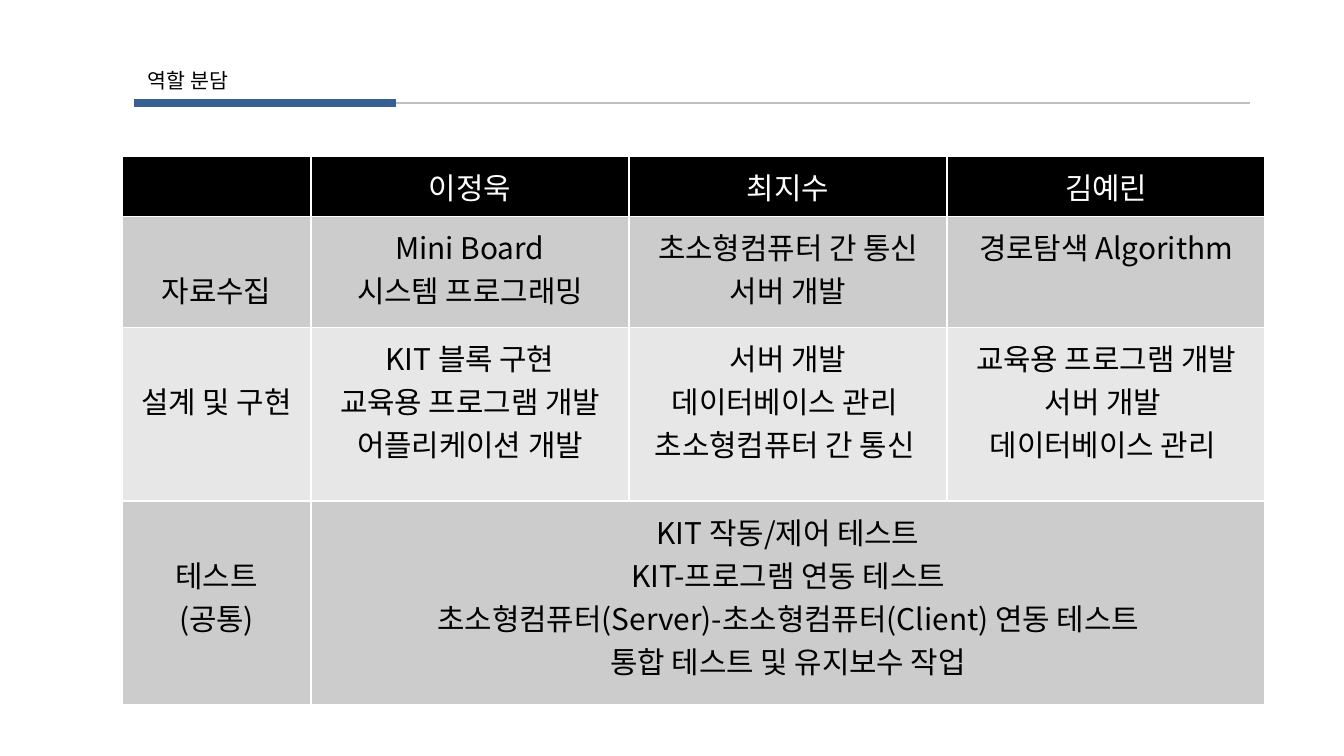
from lxml import etree
from pptx import Presentation
from pptx.dml.color import RGBColor
from pptx.enum.shapes import MSO_CONNECTOR as Conn
from pptx.enum.text import MSO_AUTO_SIZE as Fit, PP_ALIGN as Align
from pptx.oxml import parse_xml
from pptx.oxml.ns import nsdecls, qn
from pptx.util import Pt

FONT = "Noto Sans CJK KR"


def color(code):
    return RGBColor.from_string(code)


def style(frame, size, code):
    """Format every run, for Latin and Korean letters alike."""
    for par in frame.paragraphs:
        for run in par.runs:
            font = run.font
            font.name, font.size, font.bold = FONT, Pt(size), False
            font.color.rgb = color(code)
            etree.SubElement(run._r.get_or_add_rPr(), qn("a:ea")).set("typeface", FONT)


deck = Presentation()
deck.slide_width, deck.slide_height = Pt(720), Pt(405)
slide = deck.slides.add_slide(deck.slide_layouts[6])
shapes = slide.shapes

# Title with its two-tone rule
for left, right, code, width in [(144.7, 669.6, "BFBFBF", 1.5), (72, 212.4, "376092", 4.5)]:
    rule = shapes.add_connector(Conn.STRAIGHT, Pt(left), Pt(55.2), Pt(right), Pt(55.2))
    rule.line.color.rgb = color(code)
    rule.line.width = Pt(width)
    etree.SubElement(rule._element.spPr, qn("a:effectLst"))

title = shapes.add_textbox(Pt(72), Pt(33.1), Pt(133.2), Pt(20.9)).text_frame
title.word_wrap = True
title.auto_size = Fit.SHAPE_TO_FIT_TEXT
title.text = "역할 분담"
style(title, 11, "000000")

# Role table: one row per phase, one column per member
rows = [
    ["", "이정욱", "최지수", "김예린"],
    ["자료수집", "Mini Board\n시스템 프로그래밍", "초소형컴퓨터 간 통신\n서버 개발",
     "경로탐색 Algorithm"],
    ["설계 및 구현", "KIT 블록 구현\n교육용 프로그램 개발\n어플리케이션 개발",
     "서버 개발\n데이터베이스 관리 \n초소형컴퓨터 간 통신 ",
     "교육용 프로그램 개발\n서버 개발 \n데이터베이스 관리 "],
    ["테스트\n(공통)",
     "KIT 작동/제어 테스트\nKIT-프로그램 연동 테스트\n"
     "초소형컴퓨터(Server)-초소형컴퓨터(Client) 연동 테스트\n통합 테스트 및 유지보수 작업",
     "", ""],
]
fills = ["000000", "CCCCCC", "E7E7E7", "CCCCCC"]
widths = [101.2, 170.4, 170.4, 170.4]
heights = [32, 59.5, 93, 109.5]
LINE = 23

grid = shapes.add_table(4, 4, Pt(65.4), Pt(83.9), Pt(sum(widths)), Pt(sum(heights))).table
for col, width in zip(grid.columns, widths):
    col.width = Pt(width)
for row, height in zip(grid.rows, heights):
    row.height = Pt(height)
grid.cell(3, 1).merge(grid.cell(3, 3))

for r, texts in enumerate(rows):
    for c, text in enumerate(texts):
        cell = grid.cell(r, c)
        cell.fill.solid()
        cell.fill.fore_color.rgb = color(fills[r])
        cell.margin_left = cell.margin_right = Pt(9.8)
        cell.margin_top = cell.margin_bottom = Pt(4.7 if text else 0)
        if r and c == 0:
            cell.margin_top = Pt(4.7 + LINE)  # phase labels start one line lower
        if text:
            cell.text_frame.text = text
            for par in cell.text_frame.paragraphs:
                par.alignment = Align.CENTER
            style(cell.text_frame, 16, "000000" if r else "FFFFFF")
        for i, side in enumerate("LRTB"):
            edge = parse_xml(
                f'<a:ln{side} {nsdecls("a")} w="{Pt(1)}"><a:solidFill>'
                f'<a:srgbClr val="FFFFFF"/></a:solidFill></a:ln{side}>')
            cell._tc.get_or_add_tcPr().insert(i, edge)

deck.save("out.pptx")
